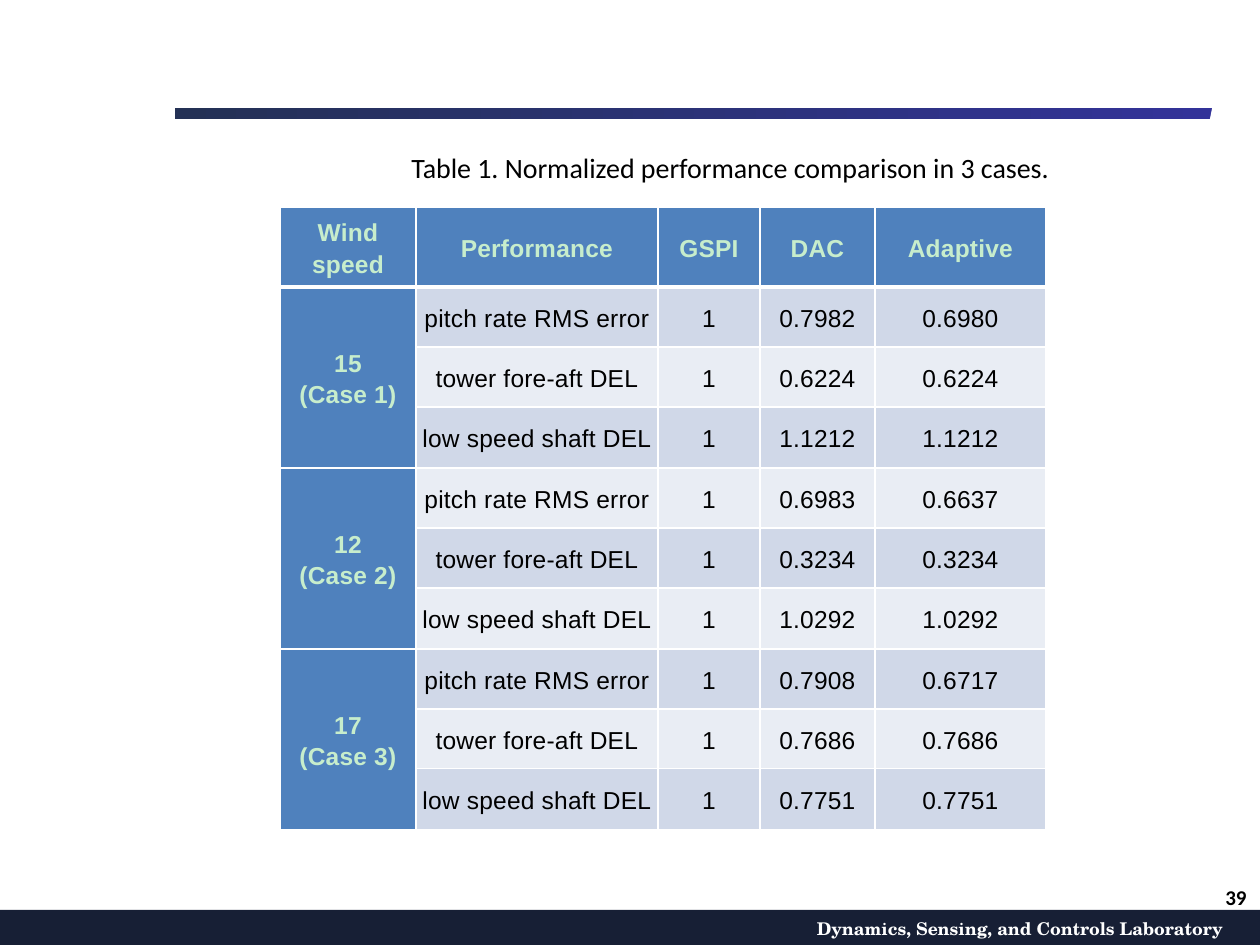
"""Build the slide comparing normalized turbine performance in three cases."""
from typing import NamedTuple

from lxml import etree
from pptx import Presentation
from pptx.dml.color import RGBColor
from pptx.enum.shapes import MSO_SHAPE
from pptx.enum.text import MSO_ANCHOR, PP_ALIGN
from pptx.oxml.ns import qn
from pptx.util import Emu, Pt

RECT, SLANT = MSO_SHAPE.RECTANGLE, MSO_SHAPE.FLOWCHART_DATA
LEFT, MID, RIGHT = PP_ALIGN.LEFT, PP_ALIGN.CENTER, PP_ALIGN.RIGHT
MIDDLE = MSO_ANCHOR.MIDDLE

WHITE = RGBColor(0xFF, 0xFF, 0xFF)
BLACK = RGBColor(0x00, 0x00, 0x00)
NAVY = RGBColor(0x17, 0x1F, 0x35)
DUSK = RGBColor(0x24, 0x31, 0x55)
INDIGO = RGBColor(0x33, 0x33, 0x99)
MINT = RGBColor(0xC7, 0xED, 0xCC)
BLUE = RGBColor(0x4F, 0x81, 0xBD)
BANDS = (RGBColor(0xD0, 0xD8, 0xE8), RGBColor(0xE9, 0xED, 0xF4))


class Box(NamedTuple):
    left: int
    top: int
    width: int
    height: int


class Style(NamedTuple):
    font: str
    size: int
    color: RGBColor
    bold: bool = False


class Label(NamedTuple):
    text: str
    box: Box
    style: Style
    align: PP_ALIGN


class Case(NamedTuple):
    speed: str
    name: str
    scores: tuple


HEAD = Style("Arial", 14, MINT, True)
BODY = Style("Arial", 14, BLACK)
LABELS = (
    Label("Dynamics, Sensing, and Controls Laboratory", Box(698, 911, 537, 34),
          Style("TeX Gyre Schola", 10, WHITE, True), RIGHT),
    Label("39", Box(965, 872, 294, 50), Style("Calibri", 12, BLACK, True), RIGHT),
    Label("Table 1. Normalized performance comparison in 3 cases.",
          Box(399, 141, 712, 52), Style("Calibri", 16, BLACK), LEFT),
)
TITLES = ("Wind speed", "Performance", "GSPI", "DAC", "Adaptive")
TESTS = ("pitch rate RMS error", "tower fore-aft DEL", "low speed shaft DEL")
CASES = (
    Case("15", "(Case 1)",
         (("0.7982", "0.6980"), ("0.6224", "0.6224"), ("1.1212", "1.1212"))),
    Case("12", "(Case 2)",
         (("0.6983", "0.6637"), ("0.3234", "0.3234"), ("1.0292", "1.0292"))),
    Case("17", "(Case 3)",
         (("0.7908", "0.6717"), ("0.7686", "0.7686"), ("0.7751", "0.7751"))),
)
GRID = Box(280, 207, 766, 623)
COLS = (136, 242, 102, 115, 171)
ROWS = (80,) + (60, 60, 61) * len(CASES)


def px(count: int) -> Emu:
    """Turn pixels into EMU."""
    return Emu(round(count * 914400 / 126))


def place(box: Box) -> list[Emu]:
    """Give the four lengths of a box in EMU."""
    return [px(side) for side in box]


def add_run(para, text: str, style: Style):
    """Add one styled run to a paragraph."""
    run = para.add_run()
    run.text = text
    font = run.font
    font.name, font.size, font.bold = style.font, Pt(style.size), style.bold
    font.color.rgb = style.color
    return run


def add_form(slide, kind: MSO_SHAPE, box: Box, color: RGBColor):
    """Add a plain shape with no line or shadow."""
    form = slide.shapes.add_shape(kind, *place(box))
    form.shadow.inherit = False
    form.line.fill.background()
    form.fill.solid()
    form.fill.fore_color.rgb = color
    return form


def add_label(slide, label: Label) -> None:
    """Add a text box with one line."""
    frame = slide.shapes.add_textbox(*place(label.box)).text_frame
    frame.word_wrap = True
    frame.vertical_anchor = MIDDLE
    para = frame.paragraphs[0]
    para.alignment = label.align
    add_run(para, label.text, label.style)


def add_edge(cell, side: str, width: int) -> None:
    """Add one white border to a cell."""
    edge = etree.SubElement(cell._tc.get_or_add_tcPr(), qn(f"a:ln{side}"),
                            w=str(Pt(width)))
    fill = etree.SubElement(edge, qn("a:solidFill"))
    etree.SubElement(fill, qn("a:srgbClr"), val=str(WHITE))


def fill_cell(cell, row: int, lines: tuple, style: Style, color: RGBColor) -> None:
    """Set the borders, fill and text of a cell."""
    for side in "LRTB":
        thick = (row, side) in ((0, "B"), (1, "T"))
        add_edge(cell, side, 3 if thick else 1)
    cell.fill.solid()
    cell.fill.fore_color.rgb = color
    cell.vertical_anchor = MIDDLE
    cell.margin_left = cell.margin_right = px(4)
    cell.margin_top = cell.margin_bottom = 0
    frame = cell.text_frame
    for i, line in enumerate(lines):
        para = frame.add_paragraph() if i else frame.paragraphs[0]
        para.alignment, para.line_spacing = MID, 1.15
        run = add_run(para, line, style)
        run.font._element.set("spc", "10")


def add_grid(slide) -> None:
    """Add the table of scores."""
    table = slide.shapes.add_table(len(ROWS), len(COLS), *place(GRID)).table
    for col, width in zip(table.columns, COLS):
        col.width = px(width)
    for row, height in zip(table.rows, ROWS):
        row.height = px(height)
    for col, title in enumerate(TITLES):
        fill_cell(table.cell(0, col), 0, (title,), HEAD, BLUE)
    size = len(TESTS)
    for i, case in enumerate(CASES):
        first = 1 + i * size
        for j, (test, pair) in enumerate(zip(TESTS, case.scores)):
            row = first + j
            lines = (case.speed, case.name) if j == 0 else ()
            fill_cell(table.cell(row, 0), row, lines, HEAD, BLUE)
            for col, text in enumerate((test, "1", *pair), 1):
                fill_cell(table.cell(row, col), row, (text,), BODY,
                          BANDS[(row - 1) % 2])
        table.cell(first, 0).merge(table.cell(first + size - 1, 0))


def main() -> None:
    """Build and save the slide."""
    deck = Presentation()
    deck.slide_width, deck.slide_height = px(1260), px(945)
    slide = deck.slides.add_slide(deck.slide_layouts[6])
    slide.background.fill.solid()
    slide.background.fill.fore_color.rgb = WHITE
    add_form(slide, RECT, Box(0, 910, 1260, 35), NAVY)
    rule = add_form(slide, RECT, Box(175, 108, 1039, 11), DUSK)
    rule.fill.gradient()
    rule.fill.gradient_angle = 0
    for stop, color in zip(rule.fill.gradient_stops, (DUSK, INDIGO)):
        stop.color.rgb = color
    add_form(slide, SLANT, Box(1210, 108, 11, 11), WHITE)
    add_grid(slide)
    for label in LABELS:
        add_label(slide, label)
    deck.save("out.pptx")


if __name__ == "__main__":
    main()
